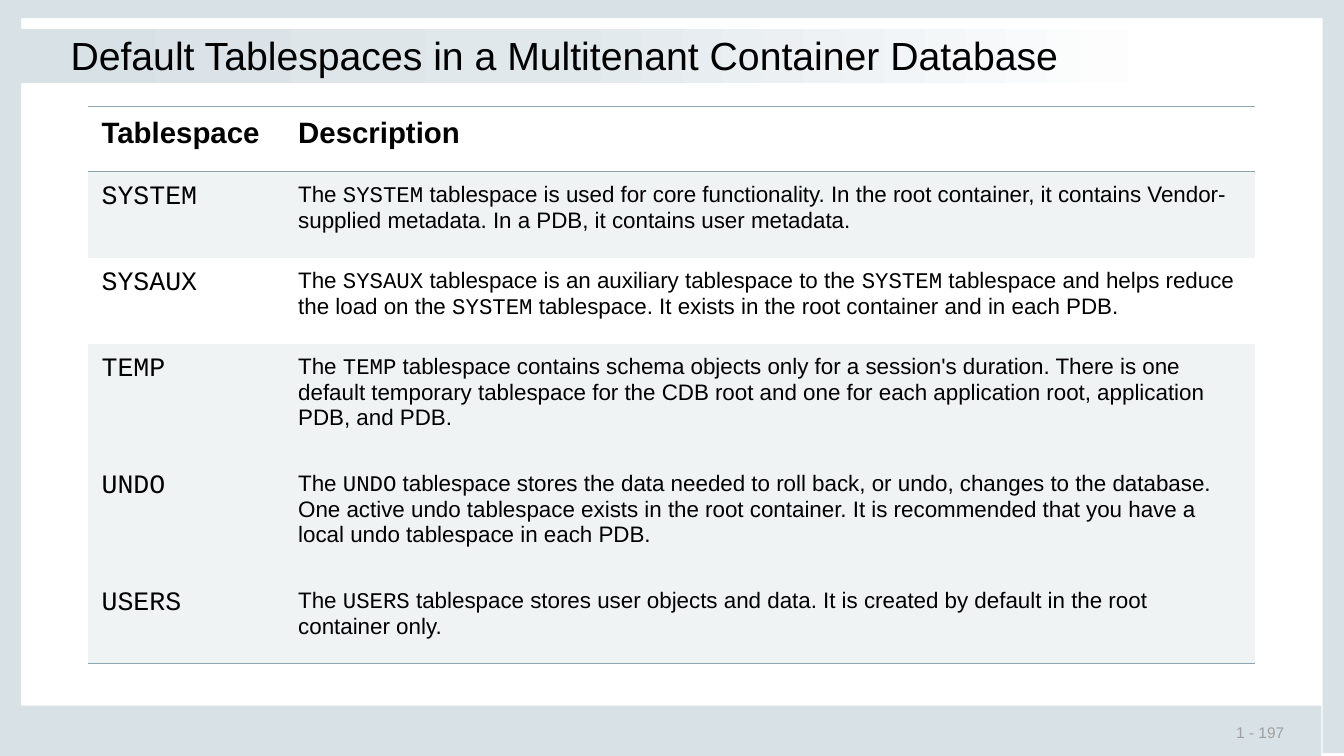
from lxml import etree
from copy import deepcopy
from pptx import Presentation
from pptx.dml.color import RGBColor
from pptx.enum.shapes import MSO_SHAPE
from pptx.enum.text import MSO_ANCHOR
from pptx.oxml.ns import qn
from pptx.util import Pt

RECTANGLE = MSO_SHAPE.RECTANGLE
TOP, MIDDLE = MSO_ANCHOR.TOP, MSO_ANCHOR.MIDDLE

FRAME = RGBColor(0xD8, 0xE1, 0xE6)
FADE = RGBColor(0xE1, 0xE8, 0xEC)
WHITE = RGBColor(0xFF, 0xFF, 0xFF)
BLACK = RGBColor(0x00, 0x00, 0x00)
GREY = RGBColor(0x9F, 0x9F, 0x9F)
BAND = RGBColor(0xEF, 0xF3, 0xF4)
RULE = RGBColor(0x8D, 0xA6, 0xB1)

WIDTH, HEIGHT = 960, 540
COLUMN_WIDTHS = [140.4, 692.9]
ROW_HEIGHTS = [46.6, 61.4, 61.4, 83.6, 83.6, 61.4]
BANDED_ROWS = {1, 3, 4, 5}

# Backticks enclose the words set in the code font
TABLESPACES = [
    ("Tablespace", "Description"),
    ("`SYSTEM`", "The `SYSTEM` tablespace is used for core functionality. In the root container, "
                 "it contains Vendor-supplied metadata. In a PDB, it contains user metadata."),
    ("`SYSAUX`", "The `SYSAUX` tablespace is an auxiliary tablespace to the `SYSTEM` tablespace and "
                 "helps reduce the load on the `SYSTEM` tablespace. It exists in the root container "
                 "and in each PDB."),
    ("`TEMP`", "The `TEMP` tablespace contains schema objects only for a session's duration. There is "
               "one default temporary tablespace for the CDB root and one for each application root, "
               "application PDB, and PDB."),
    ("`UNDO`", "The `UNDO` tablespace stores the data needed to roll back, or undo, changes to the "
               "database. One active undo tablespace exists in the root container. It is recommended "
               "that you have a local undo tablespace in each PDB."),
    ("`USERS`", "The `USERS` tablespace stores user objects and data. It is created by default in the "
                "root container only."),
]


class SlideBuilder:
    body_font = "Arial"
    code_font = "Courier New"

    def __init__(self, slide):
        self.slide = slide

    def bar(self, left, top, width, height):
        bar = self.slide.shapes.add_shape(RECTANGLE, Pt(left), Pt(top), Pt(width), Pt(height))
        bar.shadow.inherit = False
        bar.fill.solid()
        bar.fill.fore_color.rgb = FRAME
        bar.line.fill.background()
        return bar

    def fading_bar(self, left, top, width, height):
        bar = self.bar(left, top, width, height)
        bar.fill.gradient()
        bar.fill.gradient_angle = 0
        for stop, color in zip(bar.fill.gradient_stops, (FADE, WHITE)):
            stop.color.rgb = color
        # Add the third stop at the start of the fade
        middle = next(bar.element.iter(qn("a:gs")))
        start = deepcopy(middle)
        start.set("pos", "0")
        start.find(qn("a:srgbClr")).set("val", str(FRAME))
        middle.set("pos", "47000")
        middle.addprevious(start)

    def fill_text(self, frame, text, size, color=BLACK, bold=False):
        paragraph = frame.paragraphs[0]
        for index, part in enumerate(text.split("`")):
            if part:
                run = paragraph.add_run()
                run.text = part
                run.font.name = self.code_font if index % 2 else self.body_font
                run.font.size = Pt(size)
                run.font.bold = bold
                run.font.color.rgb = color

    def label(self, box, text, size, color, inset, anchor):
        left, top, width, height = box
        frame = self.slide.shapes.add_textbox(Pt(left), Pt(top), Pt(width), Pt(height)).text_frame
        frame.word_wrap = True
        frame.vertical_anchor = anchor
        frame.margin_left = frame.margin_right = Pt(inset[0])
        frame.margin_top = frame.margin_bottom = Pt(inset[1])
        self.fill_text(frame, text, size, color)

    def border(self, cell, ruled_edges):
        properties = cell._tc.get_or_add_tcPr()
        for position, edge in enumerate(("lnL", "lnR", "lnT", "lnB")):
            line = etree.Element(qn("a:" + edge), w=str(Pt(1)))
            if edge in ruled_edges:
                fill = etree.SubElement(line, qn("a:solidFill"))
                etree.SubElement(fill, qn("a:srgbClr"), val=str(RULE))
            else:
                etree.SubElement(line, qn("a:noFill"))
            properties.insert(position, line)

    def table(self, left, top, rows):
        table = self.slide.shapes.add_table(
            len(rows), len(COLUMN_WIDTHS), Pt(left), Pt(top),
            Pt(sum(COLUMN_WIDTHS)), Pt(sum(ROW_HEIGHTS))).table
        table.first_row = table.horz_banding = False
        for column, width in zip(table.columns, COLUMN_WIDTHS):
            column.width = Pt(width)
        for r, texts in enumerate(rows):
            table.rows[r].height = Pt(ROW_HEIGHTS[r])
            ruled_edges = set()
            if r in (0, 1):
                ruled_edges.add("lnT")
            if r in (0, len(rows) - 1):
                ruled_edges.add("lnB")
            for c, text in enumerate(texts):
                cell = table.cell(r, c)
                cell.margin_left = cell.margin_right = Pt(9.6)
                cell.margin_top = cell.margin_bottom = Pt(7.2)
                if r in BANDED_ROWS:
                    cell.fill.solid()
                    cell.fill.fore_color.rgb = BAND
                else:
                    cell.fill.background()
                self.border(cell, ruled_edges)
                size = 21 if r == 0 else (19, 16)[c]
                self.fill_text(cell.text_frame, text, size, bold=r == 0)


def main():
    deck = Presentation()
    deck.slide_width, deck.slide_height = Pt(WIDTH), Pt(HEIGHT)
    builder = SlideBuilder(deck.slides.add_slide(deck.slide_layouts[6]))

    # Frame around the page
    builder.bar(944.8, 0, 15.2, 538)
    builder.bar(0, 0, 15.2, 537)
    builder.bar(0, 504, 944, 36)
    builder.bar(0, 0, WIDTH, 13)
    builder.label((873.4, 516.2, 85, 14.4), "1 - 197", 11, GREY, (9.6, 0), MIDDLE)

    # Title on its fading band
    builder.fading_bar(14.6, 20.8, 820, 38.9)
    builder.label((49, 20.9, 861.8, 69.1), "Default Tablespaces in a Multitenant Container Database",
                  28, BLACK, (1.4, 1.4), TOP)

    # Tablespace descriptions
    builder.table(63, 76.2, TABLESPACES)
    deck.save("out.pptx")


if __name__ == "__main__":
    main()
